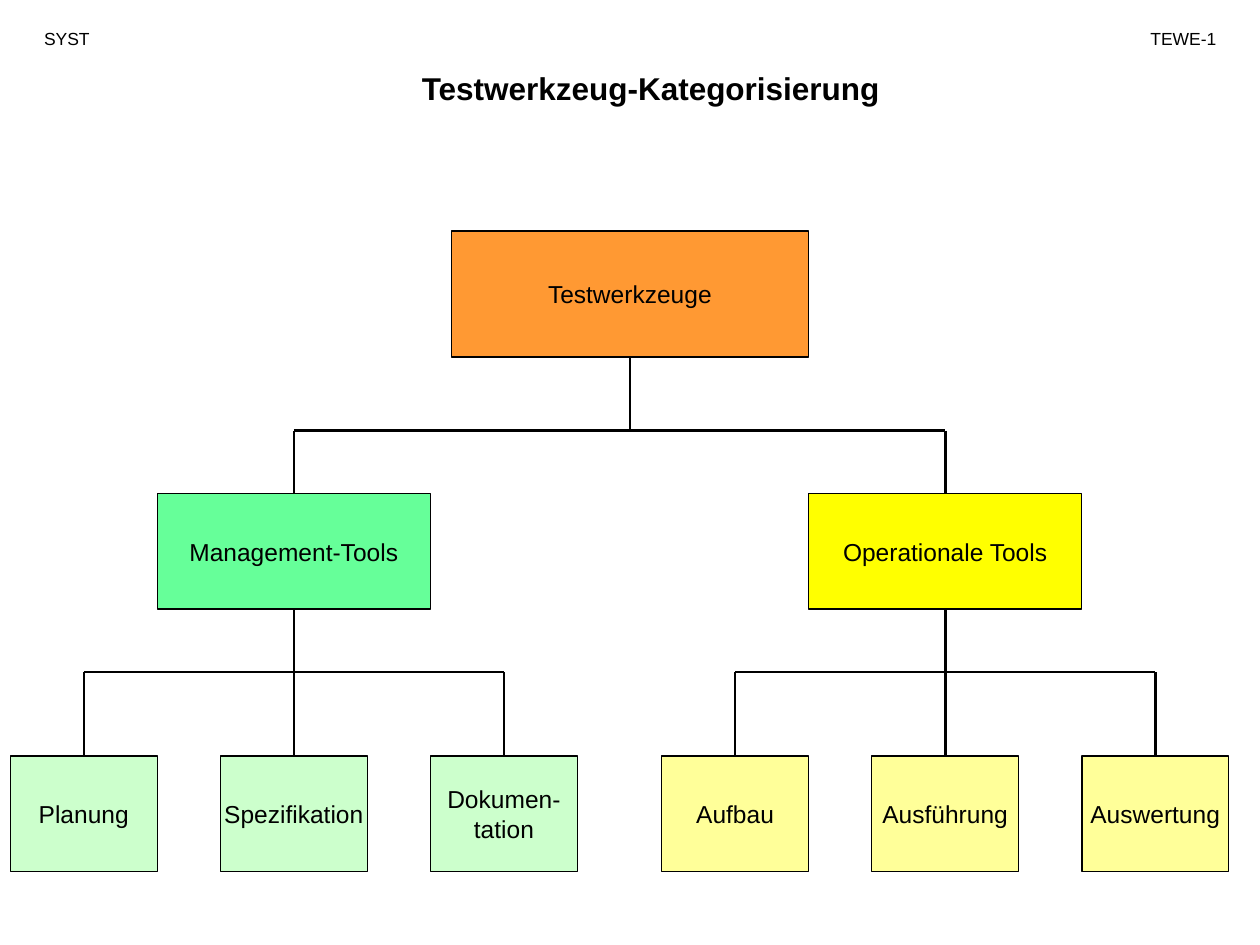
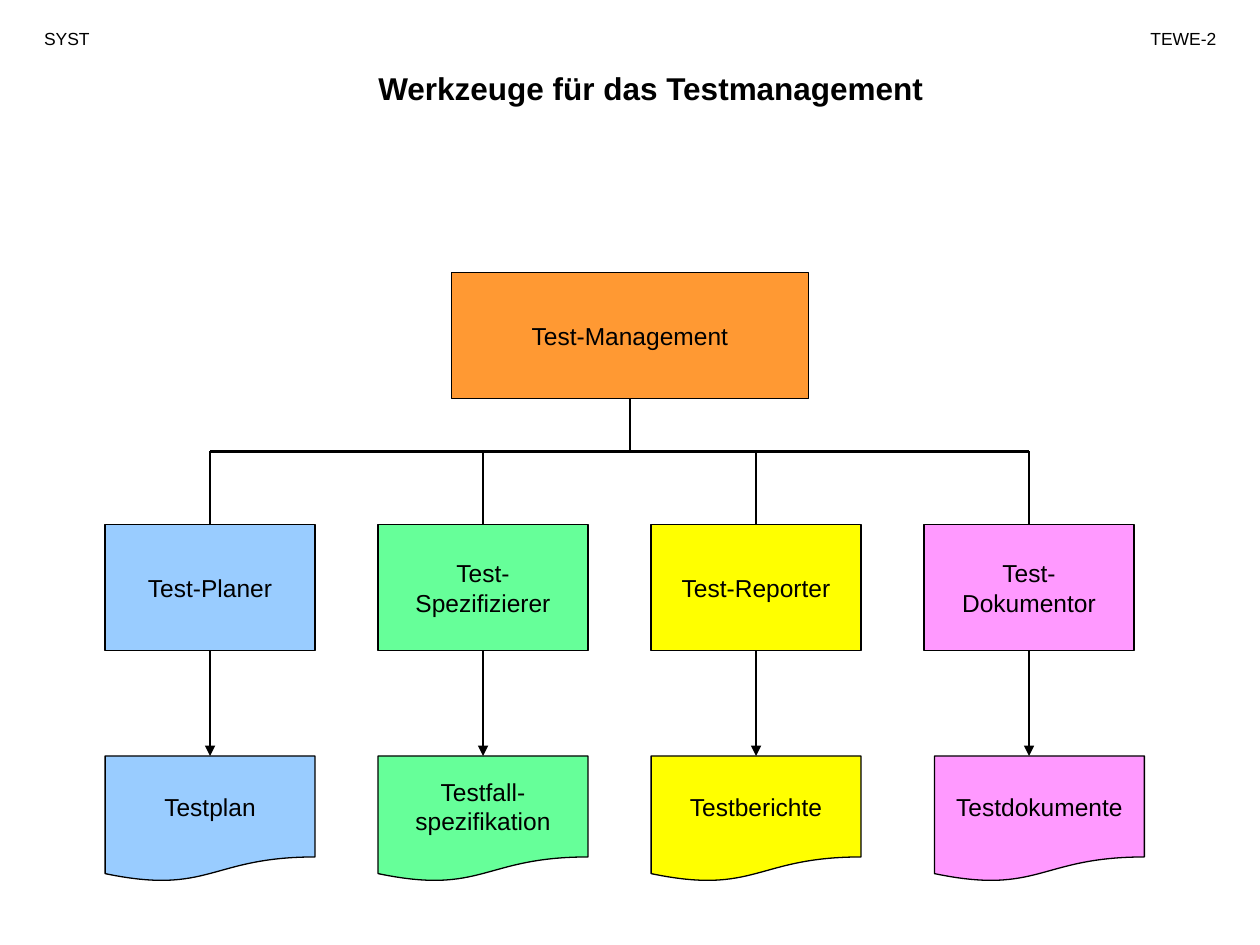
from dataclasses import dataclass

from lxml import etree
from pptx import Presentation
from pptx.dml.color import RGBColor
from pptx.enum.shapes import MSO_CONNECTOR, MSO_SHAPE
from pptx.enum.text import MSO_ANCHOR, MSO_AUTO_SIZE, PP_ALIGN
from pptx.oxml.ns import qn
from pptx.util import Cm, Pt

STRAIGHT = MSO_CONNECTOR.STRAIGHT
RECTANGLE = MSO_SHAPE.RECTANGLE
DOCUMENT = MSO_SHAPE.FLOWCHART_DOCUMENT
LEFT, CENTER, RIGHT = PP_ALIGN.LEFT, PP_ALIGN.CENTER, PP_ALIGN.RIGHT
TOP, MIDDLE = MSO_ANCHOR.TOP, MSO_ANCHOR.MIDDLE
NO_RESIZE = MSO_AUTO_SIZE.NONE
TITLE_ONLY = 5


@dataclass(frozen=True)
class Theme:
    font: str = "Arial"
    ink: str = "000000"
    orange: str = "FF9933"
    green: str = "66FF99"
    pale_green: str = "CCFFCC"
    yellow: str = "FFFF00"
    pale_yellow: str = "FFFF99"
    blue: str = "99CCFF"
    pink: str = "FF99FF"
    title_size: int = 18
    node_size: int = 14
    header_size: int = 10
    outline: float = 0.75
    link: float = 1.5


@dataclass(frozen=True)
class Box:
    """A rectangle in centimetres."""
    left: float
    top: float
    width: float
    height: float

    @property
    def center(self):
        return self.left + self.width / 2

    @property
    def bottom(self):
        return self.top + self.height

    def lengths(self):
        return [Cm(value) for value in (self.left, self.top, self.width, self.height)]


THEME = Theme()
PAGE_WIDTH, PAGE_HEIGHT = 25.4, 19.05
TITLE_BOX = Box(5.5, 1.27, 15.24, 1.02)
HEADER_BOXES = {LEFT: Box(0.64, 0.43, 2.34, 0.69), RIGHT: Box(22.23, 0.43, 2.54, 0.69)}
ROOT_WIDTH, ROOT_HEIGHT = 7.2, 2.54


def set_all(target, values):
    for name, value in values.items():
        setattr(target, name, value)


def write(shape, text, size, align=CENTER, anchor=TOP, wrap=True, bold=False):
    """Fill a shape with text, one paragraph per line."""
    frame = shape.text_frame
    frame.text = text
    set_all(frame, {
        "word_wrap": wrap, "auto_size": NO_RESIZE, "vertical_anchor": anchor,
        "margin_left": Cm(0.25), "margin_right": Cm(0.25),
        "margin_top": Cm(0.13), "margin_bottom": Cm(0.13),
    })
    for para in frame.paragraphs:
        set_all(para, {"alignment": align, "space_before": Pt(0)})
        set_all(para.font, {"name": THEME.font, "size": Pt(size), "bold": bold})
        para.font.color.rgb = RGBColor.from_string(THEME.ink)


def add_page(deck, title, number):
    page = deck.slides.add_slide(deck.slide_layouts[TITLE_ONLY])
    heading = page.shapes.title
    names = ("left", "top", "width", "height")
    set_all(heading, dict(zip(names, TITLE_BOX.lengths())))
    write(heading, title, THEME.title_size, bold=True)
    for align, text in ((LEFT, "SYST"), (RIGHT, f"TEWE-{number}")):
        header = page.shapes.add_textbox(*HEADER_BOXES[align].lengths())
        write(header, text, THEME.header_size, align)
    return page


def add_node(page, box, text, color, outline=RECTANGLE):
    node = page.shapes.add_shape(outline, *box.lengths())
    node.shadow.inherit = False
    node.fill.solid()
    node.fill.fore_color.rgb = RGBColor.from_string(color)
    node.line.color.rgb = RGBColor.from_string(THEME.ink)
    node.line.width = Pt(THEME.outline)
    write(node, text, THEME.node_size, anchor=MIDDLE, wrap=False)


def add_link(page, start, end, arrow=False):
    link = page.shapes.add_connector(STRAIGHT, *[Cm(value) for value in (*start, *end)])
    link.line.color.rgb = RGBColor.from_string(THEME.ink)
    link.line.width = Pt(THEME.link)
    properties = link.element.spPr
    if arrow:
        line = properties.find(qn("a:ln"))
        etree.SubElement(line, qn("a:tailEnd"), type="triangle")
    etree.SubElement(properties, qn("a:effectLst"))


def add_fork(page, parent, children, bar):
    """Join a parent box to its children through a horizontal bar."""
    add_link(page, (parent.center, parent.bottom), (parent.center, bar))
    add_link(page, (children[0].center, bar), (children[-1].center, bar))
    for child in children:
        add_link(page, (child.center, bar), (child.center, child.top))


def spread(area, count, width):
    """Boxes of one width, evenly spaced over the area from edge to edge."""
    step = (area.width - width) / (count - 1)
    return [Box(area.left + step * index, area.top, width, area.height)
            for index in range(count)]


def add_root(page, top, text):
    box = Box((PAGE_WIDTH - ROOT_WIDTH) / 2, top, ROOT_WIDTH, ROOT_HEIGHT)
    add_node(page, box, text, THEME.orange)
    return box


def add_branch(page, area, name, color, leaf_names, leaf_color):
    """Draw a tool group with its leaves and return the box of its head."""
    head_width, leaf_width, height = 5.5, 2.96, 2.33
    head = Box(area.center - head_width / 2, area.top, head_width, height)
    row = Box(area.left, area.bottom - height, area.width, height)
    leaves = spread(row, len(leaf_names), leaf_width)
    add_node(page, head, name, color)
    for leaf, leaf_name in zip(leaves, leaf_names):
        add_node(page, leaf, leaf_name, leaf_color)
    add_fork(page, head, leaves, area.top + 3.6)
    return head


def add_category_page(deck):
    page = add_page(deck, "Testwerkzeug-Kategorisierung", 1)
    root = add_root(page, 4.66, "Testwerkzeuge")
    branches = (
        (0.21, "Management-Tools", THEME.green,
         ("Planung", "Spezifikation", "Dokumen-\ntation"), THEME.pale_green),
        (13.34, "Operationale Tools", THEME.yellow,
         ("Aufbau", "Ausführung", "Auswertung"), THEME.pale_yellow),
    )
    heads = [add_branch(page, Box(left, 9.95, 11.43, 7.62), *branch)
             for left, *branch in branches]
    add_fork(page, root, heads, 8.68)


def add_tool_row(page, area, tools):
    """Draw tools with their documents below and return the tool boxes."""
    width, height = 4.23, 2.54
    tool_row = Box(area.left, area.top, area.width, height)
    boxes = spread(tool_row, len(tools), width)
    for box, (tool, document, color, shift) in zip(boxes, tools):
        sheet = Box(box.left + shift, area.bottom - height, width, height)
        add_node(page, box, tool, color)
        add_node(page, sheet, document, color, DOCUMENT)
        add_link(page, (box.center, box.bottom), (box.center, sheet.top), arrow=True)
    return boxes


def add_management_page(deck):
    page = add_page(deck, "Werkzeuge für das Testmanagement", 2)
    root = add_root(page, 5.5, "Test-Management")
    tools = (
        ("Test-Planer", "Testplan", THEME.blue, 0),
        ("Test-\nSpezifizierer", "Testfall-\nspezifikation", THEME.green, 0),
        ("Test-Reporter", "Testberichte", THEME.yellow, 0),
        ("Test-\nDokumentor", "Testdokumente", THEME.pink, 0.21),
    )
    boxes = add_tool_row(page, Box(2.12, 10.58, 20.74, 7.2), tools)
    add_fork(page, root, boxes, 9.1)


def main():
    deck = Presentation()
    deck.slide_width, deck.slide_height = Cm(PAGE_WIDTH), Cm(PAGE_HEIGHT)
    add_category_page(deck)
    add_management_page(deck)
    deck.save("out.pptx")


if __name__ == "__main__":
    main()
